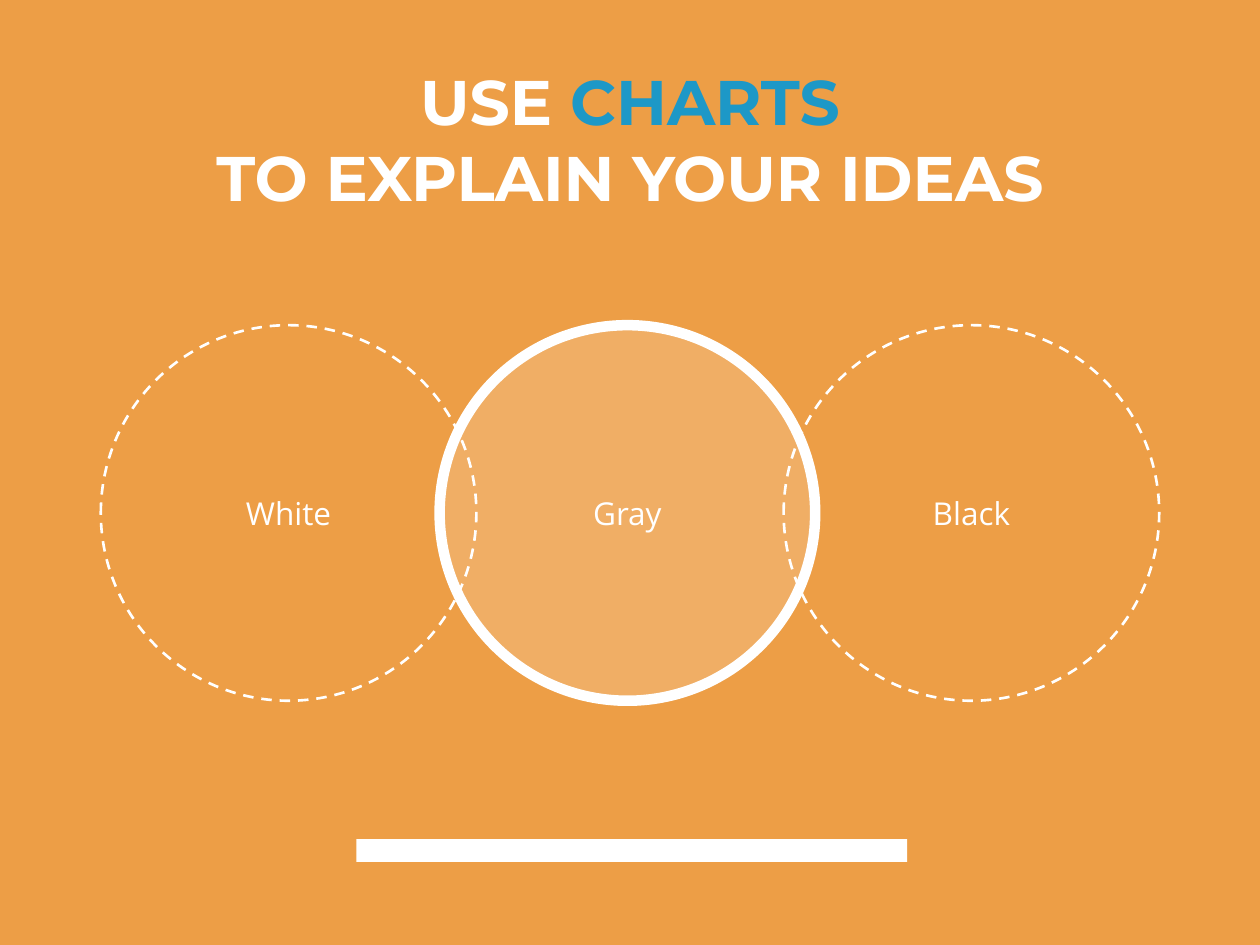
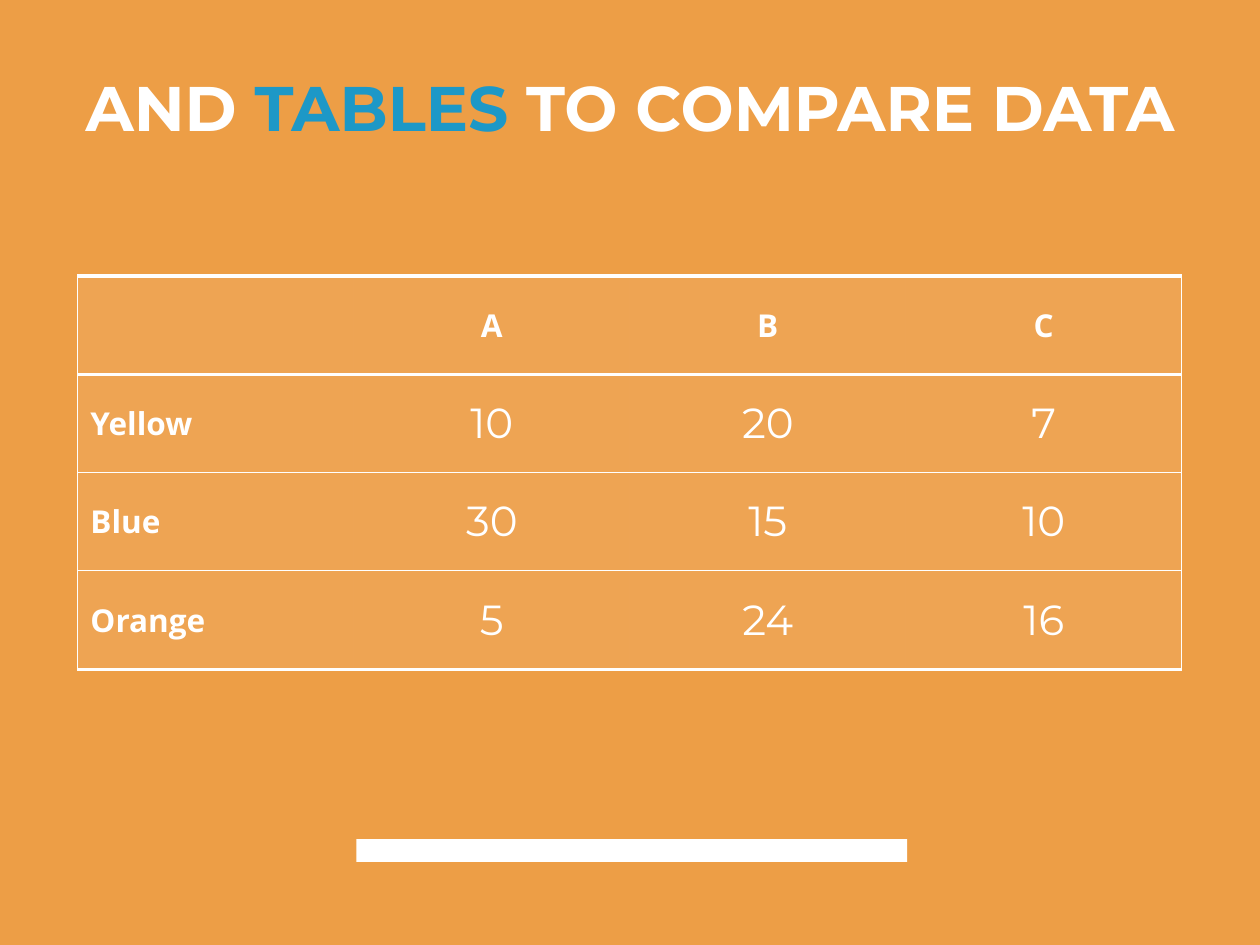
from lxml import etree
from pptx import Presentation
from pptx.dml.color import RGBColor
from pptx.enum.dml import MSO_LINE
from pptx.enum.shapes import MSO_SHAPE
from pptx.enum.text import MSO_ANCHOR, PP_ALIGN
from pptx.oxml import parse_xml
from pptx.oxml.ns import nsdecls, qn
from pptx.util import Pt

RECT, OVAL = MSO_SHAPE.RECTANGLE, MSO_SHAPE.OVAL
TOP, MIDDLE, BOTTOM = MSO_ANCHOR.TOP, MSO_ANCHOR.MIDDLE, MSO_ANCHOR.BOTTOM
LEFT, CENTER = PP_ALIGN.LEFT, PP_ALIGN.CENTER
DASH = MSO_LINE.DASH

COLORS = {"background": "ED9E46", "white": "FFFFFF", "accent": "1D98C7"}
HEADING, BODY = "Montserrat", "Open Sans"
INSET = 7.2
PLAIN_TABLE = "{2D5ABB26-0587-4C30-8999-92F81FD0307C}"

TITLE_BOX = (36, 28.8, 648, 60.5)
BAR_BOX = (203.6, 479.5, 314.8, 13)
CIRCLES_BOX = (57.6, 185.8, 604.8, 214.6)
TABLE_BOX = (44.5, 157.7, 630.8, 224.8)

DATA = [
    ["", "A", "B", "C"],
    ["Yellow", "10", "20", "7"],
    ["Blue", "30", "15", "10"],
    ["Orange", "5", "24", "16"],
]


def rgb(name):
    """Return the named colour."""
    return RGBColor.from_string(COLORS[name])


def fill_solid(fill, name, opacity=100):
    """Fill with a named colour at an opacity in percent."""
    fill.solid()
    fill.fore_color.rgb = rgb(name)
    if opacity < 100:
        color = fill._xPr.find(qn("a:solidFill"))[0]
        etree.SubElement(color, qn("a:alpha")).set("val", str(opacity * 1000))


def set_insets(target):
    """Give a text frame or a cell the shared inner margins."""
    target.margin_left = target.margin_right = Pt(INSET)
    target.margin_top = target.margin_bottom = Pt(INSET)


def style_run(r, size, font, color="white", bold=False):
    """Format one run of text."""
    r.font.size, r.font.name, r.font.bold = Pt(size), font, bold
    r.font.color.rgb = rgb(color)


def add_title(s, box, lines, anchor):
    """Add a centred title whose lines are lists of (text, colour) pairs."""
    tf = s.shapes.add_textbox(*map(Pt, box)).text_frame
    tf.word_wrap, tf.vertical_anchor = True, anchor
    set_insets(tf)
    for i, line in enumerate(lines):
        p = tf.add_paragraph() if i else tf.paragraphs[0]
        p.alignment = CENTER
        for text, color in line:
            r = p.add_run()
            r.text = text
            style_run(r, 36, HEADING, color, True)


def add_bar(s, box):
    """Add the white bar at the foot of the slide."""
    sp = s.shapes.add_shape(RECT, *map(Pt, box))
    sp.shadow.inherit = False
    fill_solid(sp.fill, "white")
    sp.line.fill.background()


def new_slide(prs, title_lines, anchor):
    """Add a slide with the shared background, bar and title."""
    s = prs.slides.add_slide(prs.slide_layouts[6])
    fill_solid(s.background.fill, "background")
    add_bar(s, BAR_BOX)
    add_title(s, TITLE_BOX, title_lines, anchor)
    return s


def add_circle(s, left, top, size, label, highlighted=False):
    """Add a labelled circle, dashed unless it is highlighted."""
    sp = s.shapes.add_shape(OVAL, Pt(left), Pt(top), Pt(size), Pt(size))
    sp.shadow.inherit = False
    sp.line.color.rgb = rgb("white")
    if highlighted:
        fill_solid(sp.fill, "white", 17)
        sp.line.width = Pt(6)
    else:
        sp.fill.background()
        sp.line.width, sp.line.dash_style = Pt(1.5), DASH
    tf = sp.text_frame
    tf.text = label
    tf.word_wrap, tf.vertical_anchor = True, MIDDLE
    set_insets(tf)
    p = tf.paragraphs[0]
    p.alignment = CENTER
    style_run(p.runs[0], 18, BODY)


def add_circles(s, box):
    """Add three overlapping circles, the middle one highlighted."""
    left, top, width, size = box
    span = width - size
    add_circle(s, left + span / 2 - 1.5, top, size, "Gray", True)
    add_circle(s, left, top, size, "White")
    add_circle(s, left + span, top, size, "Black")


def set_borders(cell, widths):
    """Draw cell borders from a dict of side to width, with 0 for none."""
    tc_pr = cell._tc.get_or_add_tcPr()
    for i, side in enumerate("LRTB"):
        width = widths[side]
        paint = (f'<a:solidFill><a:srgbClr val="{COLORS["white"]}"/></a:solidFill>'
                 if width else "<a:noFill/>")
        tc_pr.insert(i, parse_xml(
            f'<a:ln{side} {nsdecls("a")} w="{Pt(width)}">{paint}</a:ln{side}>'))


def add_data_table(s, box, data):
    """Add the table, with thick rules around the header and at the foot."""
    rows, cols = len(data), len(data[0])
    left, top, width, height = box
    table = s.shapes.add_table(rows, cols, *map(Pt, box)).table
    table.horz_banding = table.first_row = False
    table._tbl.tblPr.find(qn("a:tableStyleId")).text = PLAIN_TABLE
    for column in table.columns:
        column.width = Pt(width / cols)
    rules = [2.25, 2.25] + [0.75] * (rows - 2) + [2.25]
    for i, values in enumerate(data):
        table.rows[i].height = Pt(height / rows)
        for j, text in enumerate(values):
            cell = table.cell(i, j)
            cell.text = text
            cell.vertical_anchor = MIDDLE
            set_insets(cell)
            fill_solid(cell.fill, "white", 7)
            set_borders(cell, {"L": 0 if j else 0.75,
                               "R": 0.75 if j == cols - 1 else 0,
                               "T": rules[i], "B": rules[i + 1]})
            p = cell.text_frame.paragraphs[0]
            p.alignment = CENTER if j else LEFT
            for r in p.runs:
                if i and j:
                    style_run(r, 24, HEADING)
                else:
                    style_run(r, 18, BODY, bold=True)


def main():
    """Build and save the two slides."""
    prs = Presentation()
    prs.slide_width, prs.slide_height = Pt(720), Pt(540)

    s = new_slide(prs, [[("USE ", "white"), ("CHARTS", "accent")],
                        [("TO EXPLAIN YOUR IDEAS", "white")]], TOP)
    add_circles(s, CIRCLES_BOX)

    s = new_slide(prs, [[("AND ", "white"), ("TABLES", "accent"),
                         (" TO COMPARE DATA", "white")]], BOTTOM)
    add_data_table(s, TABLE_BOX, DATA)

    prs.save("out.pptx")


if __name__ == "__main__":
    main()
